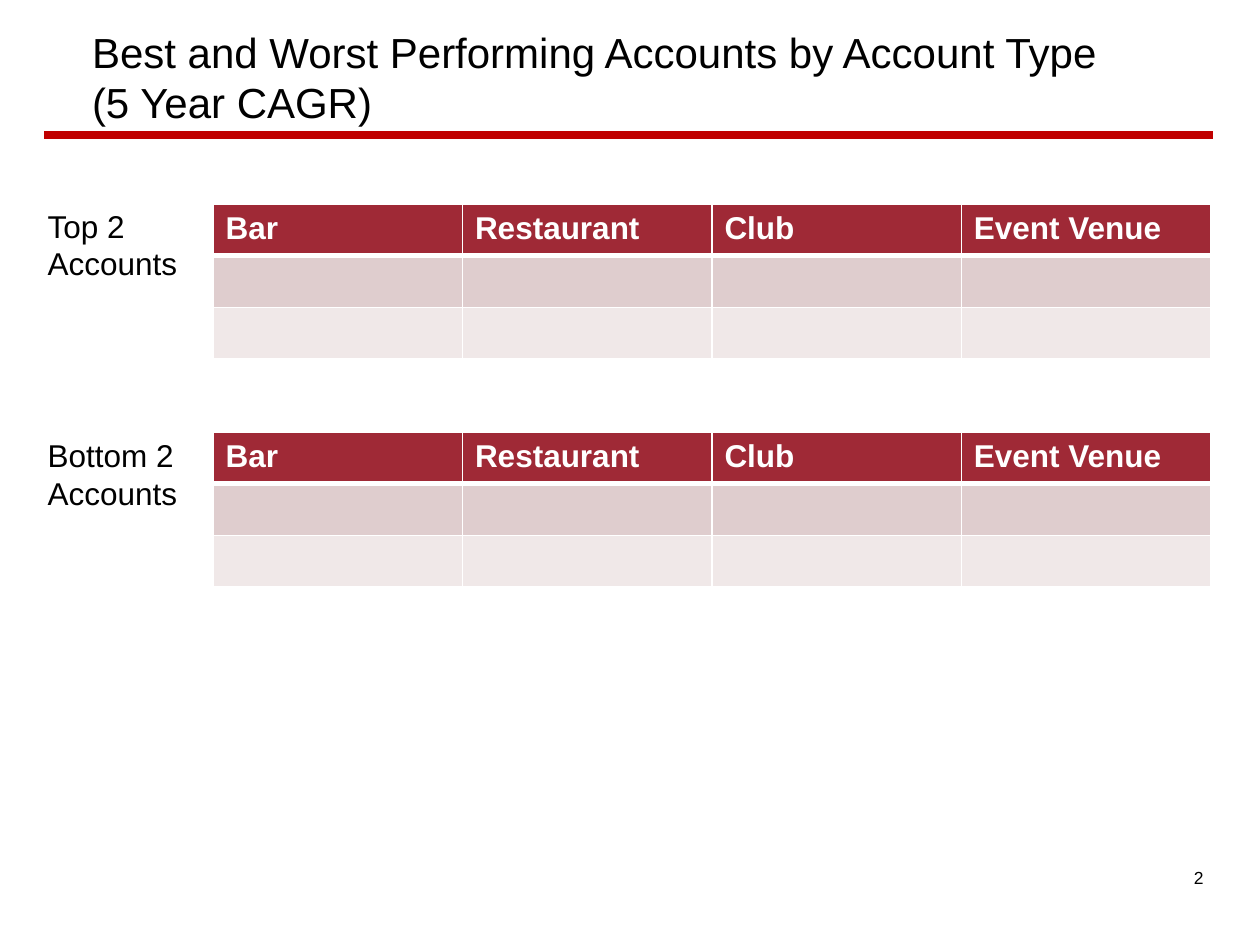
from dataclasses import dataclass, field

from lxml import etree
from pptx import Presentation
from pptx import util as u
from pptx.dml.color import RGBColor
from pptx.enum import shapes, text
from pptx.oxml import ns

FONT = "Arial"
HEADERS = ["Bar", "Restaurant", "Club", "Event Venue"]
ROW_FILLS = ["9F2936", "DFCDCE", "F0E8E8"]
TABLE_LEFT, COL_WIDTH, ROW_HEIGHT = 1.69, 1.98, 0.41


@dataclass
class Label:
    text: str
    box: tuple[float, float, float, float]
    size: float
    frame: dict = field(default_factory=dict)
    align: text.PP_ALIGN = text.PP_ALIGN.LEFT


@dataclass
class Ranking:
    label: str
    label_top: float
    table_top: float


def rgb(value: str) -> RGBColor:
    """Turn a hex string into a colour."""
    return RGBColor.from_string(value)


def set_all(obj, values: dict) -> None:
    """Set attributes from a dict of format values."""
    for name, value in values.items():
        setattr(obj, name, value)


def style_runs(p, size: float, color: str, bold: bool = False) -> None:
    """Format every run of a paragraph."""
    for r in p.runs:
        set_all(r.font, {"name": FONT, "size": u.Pt(size), "bold": bold})
        r.font.color.rgb = rgb(color)


def add_label(s, label: Label) -> None:
    """Add a wrapped text box."""
    tf = s.shapes.add_textbox(*map(u.Inches, label.box)).text_frame
    set_all(tf, {"word_wrap": True, **label.frame})
    p = tf.paragraphs[0]
    set_all(p, {"text": label.text, "alignment": label.align})
    style_runs(p, label.size, "000000")


def add_rule(s) -> None:
    """Draw the red rule under the title."""
    y = u.Inches(1.07)
    sp = s.shapes.add_connector(
        shapes.MSO_CONNECTOR.STRAIGHT, u.Inches(0.35), y, u.Inches(9.63), y)
    sp.line.color.rgb = rgb("C00000")
    sp.line.width = u.Pt(4.5)
    etree.SubElement(sp.element.spPr, ns.qn("a:effectLst"))


def set_borders(cell, widths: dict[str, float]) -> None:
    """Give a cell white borders of the given point widths."""
    tc_pr = cell._tc.get_or_add_tcPr()
    for side, width in widths.items():
        ln = etree.SubElement(tc_pr, ns.qn(f"a:ln{side}"), w=str(u.Pt(width)))
        fill = etree.SubElement(ln, ns.qn("a:solidFill"))
        etree.SubElement(fill, ns.qn("a:srgbClr"), val="FFFFFF")


def add_account_table(s, top: float) -> None:
    """Add a table with account types as headers and empty rows."""
    rows, cols = len(ROW_FILLS), len(HEADERS)
    table = s.shapes.add_table(
        rows, cols, u.Inches(TABLE_LEFT), u.Inches(top),
        u.Inches(COL_WIDTH * cols), u.Inches(ROW_HEIGHT * rows)).table
    for i, color in enumerate(ROW_FILLS):
        table.rows[i].height = u.Inches(ROW_HEIGHT)
        for j, header in enumerate(HEADERS):
            cell = table.cell(i, j)
            set_borders(cell, {"L": 1, "R": 1, "T": 3 if i == 1 else 1,
                               "B": 3 if i == 0 else 1})
            cell.fill.solid()
            cell.fill.fore_color.rgb = rgb(color)
            if i == 0:
                cell.text = header
                style_runs(cell.text_frame.paragraphs[0], 18, "FFFFFF", True)


def main() -> None:
    """Build and save the slide."""
    prs = Presentation()
    set_all(prs, {"slide_width": u.Inches(10), "slide_height": u.Inches(7.5)})
    s = prs.slides.add_slide(prs.slide_layouts[6])
    add_label(s, Label("2", (7, 6.83, 2.65, 0.52), 10, align=text.PP_ALIGN.RIGHT))
    add_rule(s)
    add_label(s, Label(
        "Best and Worst Performing Accounts by Account Type\v(5 Year CAGR)",
        (0.34, 0.14, 9.29, 0.94), 24,
        {"vertical_anchor": text.MSO_ANCHOR.MIDDLE, "margin_left": u.Inches(0.39)}))
    for ranking in (Ranking("Top 2 Accounts", 1.59, 1.62),
                    Ranking("Bottom 2 Accounts", 3.41, 3.43)):
        add_account_table(s, ranking.table_top)
        add_label(s, Label(ranking.label, (0.28, ranking.label_top, 1.65, 0.71), 18,
                           {"auto_size": text.MSO_AUTO_SIZE.SHAPE_TO_FIT_TEXT}))
    prs.save("out.pptx")


main()
